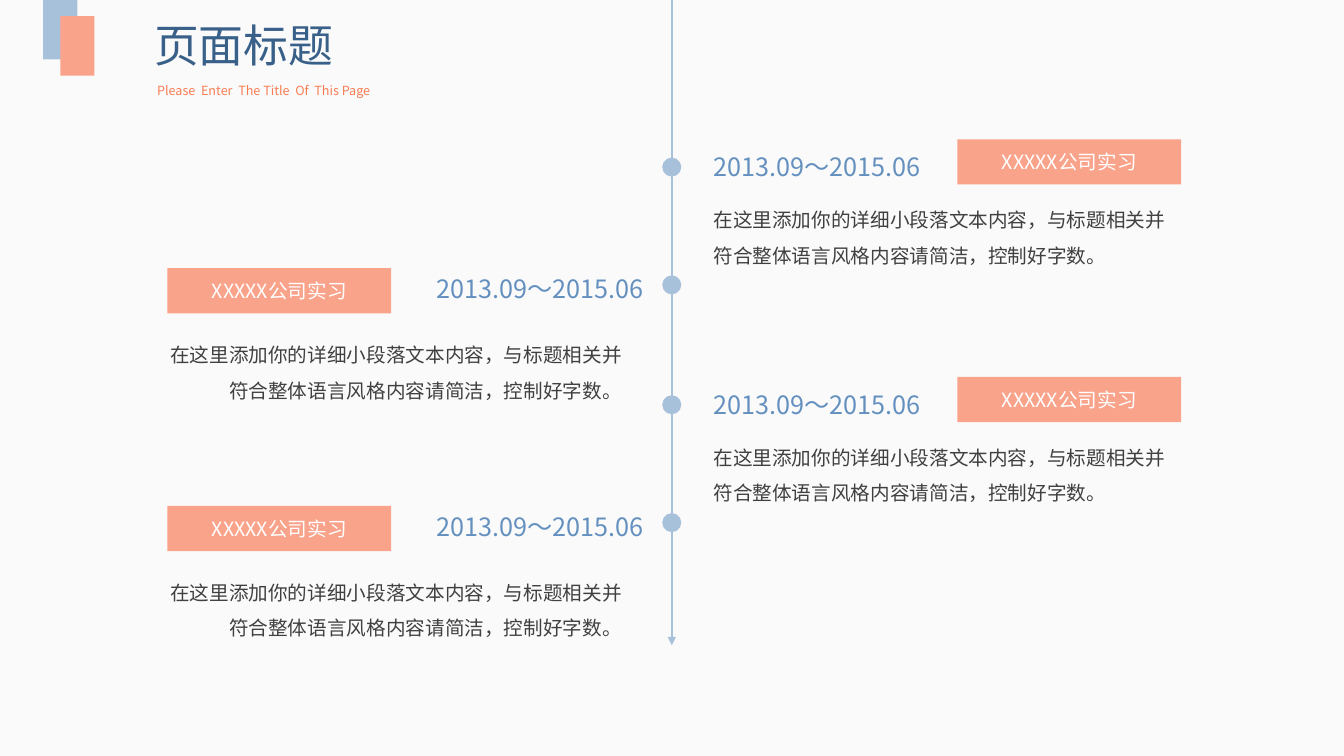
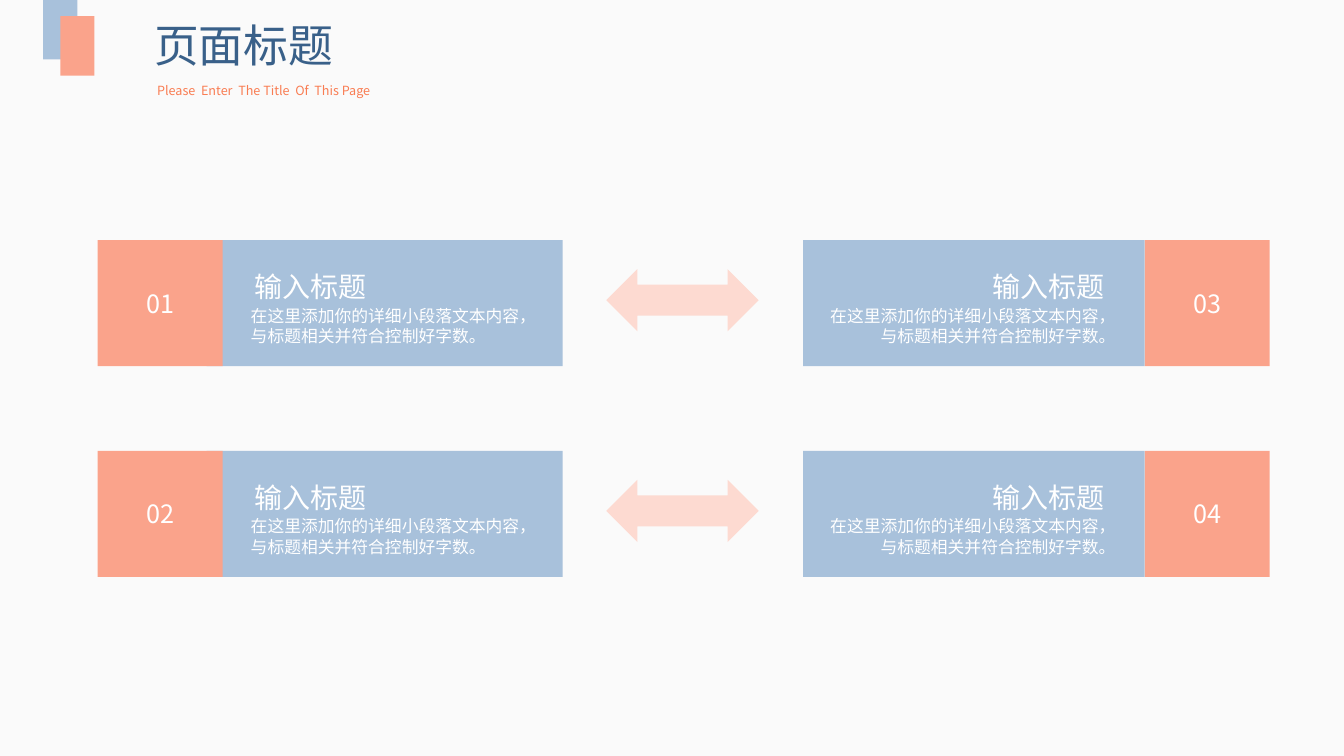
from dataclasses import dataclass

from lxml.etree import SubElement
from pptx import Presentation
from pptx.dml.color import RGBColor
from pptx.enum.shapes import MSO_CONNECTOR, MSO_SHAPE
from pptx.enum.text import MSO_ANCHOR, MSO_AUTO_SIZE, PP_ALIGN
from pptx.oxml.ns import qn
from pptx.util import Cm, Pt


@dataclass(frozen=True)
class Theme:
    font: str = "Noto Sans CJK SC"
    paper: str = "FAFAFA"
    blue: str = "A8C1DB"
    coral: str = "FAA38B"
    pale_coral: str = "FDDAD1"
    title: str = "396089"
    subtitle: str = "F97D53"
    date: str = "6490BF"
    body: str = "404040"
    white: str = "FFFFFF"
    title_size: int = 32
    heading_size: int = 20
    date_size: int = 18
    body_size: int = 14
    card_size: int = 12
    subtitle_size: int = 9


@dataclass(frozen=True)
class EventSide:
    """Offsets in cm from the top left corner of a timeline event."""
    align: PP_ALIGN
    date_x: float
    date_y: float
    badge_x: float
    body_y: float
    dot_y: float


@dataclass(frozen=True)
class CardSide:
    """Offsets and widths in cm, measured from the top left corner of a card."""
    align: PP_ALIGN
    number_x: float
    panel_x: float
    panel_width: float
    heading_x: float
    body_x: float
    body_width: float


THEME = Theme()
AXIS_X = 16.93
CARD_HEIGHT = 3.18
NUMBER_WIDTH = 3.15

EVENT_LEFT = EventSide(PP_ALIGN.RIGHT, date_x=6, date_y=0, badge_x=0.36, body_y=1.47, dot_y=0.18)
EVENT_RIGHT = EventSide(PP_ALIGN.LEFT, date_x=0, date_y=0.18, badge_x=6.4, body_y=1.32, dot_y=0.46)
CARD_LEFT = CardSide(PP_ALIGN.LEFT, number_x=0, panel_x=2.75, panel_width=8.97,
                     heading_x=3.71, body_x=3.61, body_width=7.42)
CARD_RIGHT = CardSide(PP_ALIGN.RIGHT, number_x=8.61, panel_x=0, panel_width=8.61,
                      heading_x=1.98, body_x=0.33, body_width=7.8)


def write(shape, text, size, color, align=PP_ALIGN.LEFT, anchor=MSO_ANCHOR.TOP, spacing=None):
    frame = shape.text_frame
    frame.text = text
    frame.word_wrap = True
    frame.auto_size = MSO_AUTO_SIZE.NONE
    frame.vertical_anchor = anchor
    paragraph = frame.paragraphs[0]
    paragraph.alignment = align
    if spacing:
        paragraph.line_spacing = spacing
    font = paragraph.font
    font.size = Pt(size)
    font.name = THEME.font
    font.color.rgb = RGBColor.from_string(color)
    defaults = paragraph._p.pPr.find(qn("a:defRPr"))
    SubElement(defaults, qn("a:ea"), typeface=THEME.font)


def add_text(slide, left, top, width, height, text, size, color, **style):
    box = slide.shapes.add_textbox(Cm(left), Cm(top), Cm(width), Cm(height))
    write(box, text, size, color, **style)


def add_block(slide, left, top, width, height, color, preset=MSO_SHAPE.RECTANGLE):
    block = slide.shapes.add_shape(preset, Cm(left), Cm(top), Cm(width), Cm(height))
    block.shadow.inherit = False
    block.fill.solid()
    block.fill.fore_color.rgb = RGBColor.from_string(color)
    block.line.fill.background()
    return block


def add_label(slide, left, top, width, height, text, size):
    """Coral block with centred white text."""
    label = add_block(slide, left, top, width, height, THEME.coral)
    write(label, text, size, THEME.white, PP_ALIGN.CENTER, MSO_ANCHOR.MIDDLE)


def add_titled_slide(prs, title, subtitle):
    slide = prs.slides.add_slide(prs.slide_layouts[5])
    add_block(slide, 1.09, 0, 0.86, 1.5, THEME.blue)
    add_block(slide, 1.52, 0.41, 0.86, 1.5, THEME.coral)
    heading = slide.shapes.title
    heading.left, heading.top = Cm(3.63), Cm(0.33)
    heading.width, heading.height = Cm(7.9), Cm(1.63)
    write(heading, title, THEME.title_size, THEME.title)
    add_text(slide, 3.71, 1.96, 7.9, 0.64, subtitle, THEME.subtitle_size, THEME.subtitle)
    return slide


def add_axis(slide, length):
    axis = slide.shapes.add_connector(MSO_CONNECTOR.STRAIGHT, Cm(AXIS_X), 0, Cm(AXIS_X), Cm(length))
    axis.line.color.rgb = RGBColor.from_string(THEME.blue)
    axis.line.width = Pt(1.5)
    SubElement(axis.line._get_or_add_ln(), qn("a:tailEnd"), type="triangle")
    SubElement(axis._element.spPr, qn("a:effectLst"))


def add_event(slide, left, top, side, period, employer, details):
    dot = 0.48
    add_block(slide, AXIS_X - dot / 2, top + side.dot_y, dot, dot, THEME.blue, MSO_SHAPE.OVAL)
    add_text(slide, left + side.date_x, top + side.date_y, 6.6, 1.1, period,
             THEME.date_size, THEME.date, align=side.align)
    add_text(slide, left, top + side.body_y, 12.07, 2.06, details,
             THEME.body_size, THEME.body, align=side.align, spacing=1.5)
    add_label(slide, left + side.badge_x, top, 5.64, 1.14, employer, THEME.body_size)


def add_card(slide, left, top, side, number, heading, details):
    add_block(slide, left + side.panel_x, top, side.panel_width, CARD_HEIGHT, THEME.blue)
    add_label(slide, left + side.number_x, top, NUMBER_WIDTH, CARD_HEIGHT, number, THEME.date_size)
    add_text(slide, left + side.body_x, top + 1.52, side.body_width, 1.27, details,
             THEME.card_size, THEME.white, align=side.align)
    add_text(slide, left + side.heading_x, top + 0.2, 5.87, 1.55, heading,
             THEME.heading_size, THEME.white, align=side.align, spacing=1.5)


def build_timeline(slide):
    add_axis(slide, 16.26)
    for row in range(2):
        for left, first_top, side in ((17.73, 3.51, EVENT_RIGHT), (3.86, 6.76, EVENT_LEFT)):
            add_event(slide, left, first_top + row * 5.99, side, "2013.09～2015.06", "XXXXX公司实习",
                      "在这里添加你的详细小段落文本内容，与标题相关并符合整体语言风格内容请简洁，控制好字数。")


def build_cards(slide):
    for row in range(2):
        top = 6.05 + row * 5.31
        for column, (left, side) in enumerate(((2.46, CARD_LEFT), (20.24, CARD_RIGHT))):
            add_card(slide, left, top, side, f"{column * 2 + row + 1:02d}", "输入标题",
                     "在这里添加你的详细小段落文本内容，与标题相关并符合控制好字数。")
        add_block(slide, 15.28, top + 0.73, 3.84, 1.57, THEME.pale_coral,
                  MSO_SHAPE.LEFT_RIGHT_ARROW)


def main():
    prs = Presentation()
    prs.slide_width, prs.slide_height = Cm(33.87), Cm(19.05)
    background = prs.slide_master.background.fill
    background.solid()
    background.fore_color.rgb = RGBColor.from_string(THEME.paper)
    for build in (build_timeline, build_cards):
        build(add_titled_slide(prs, "页面标题", "Please  Enter  The Title  Of  This Page"))
    prs.save("out.pptx")


if __name__ == "__main__":
    main()
